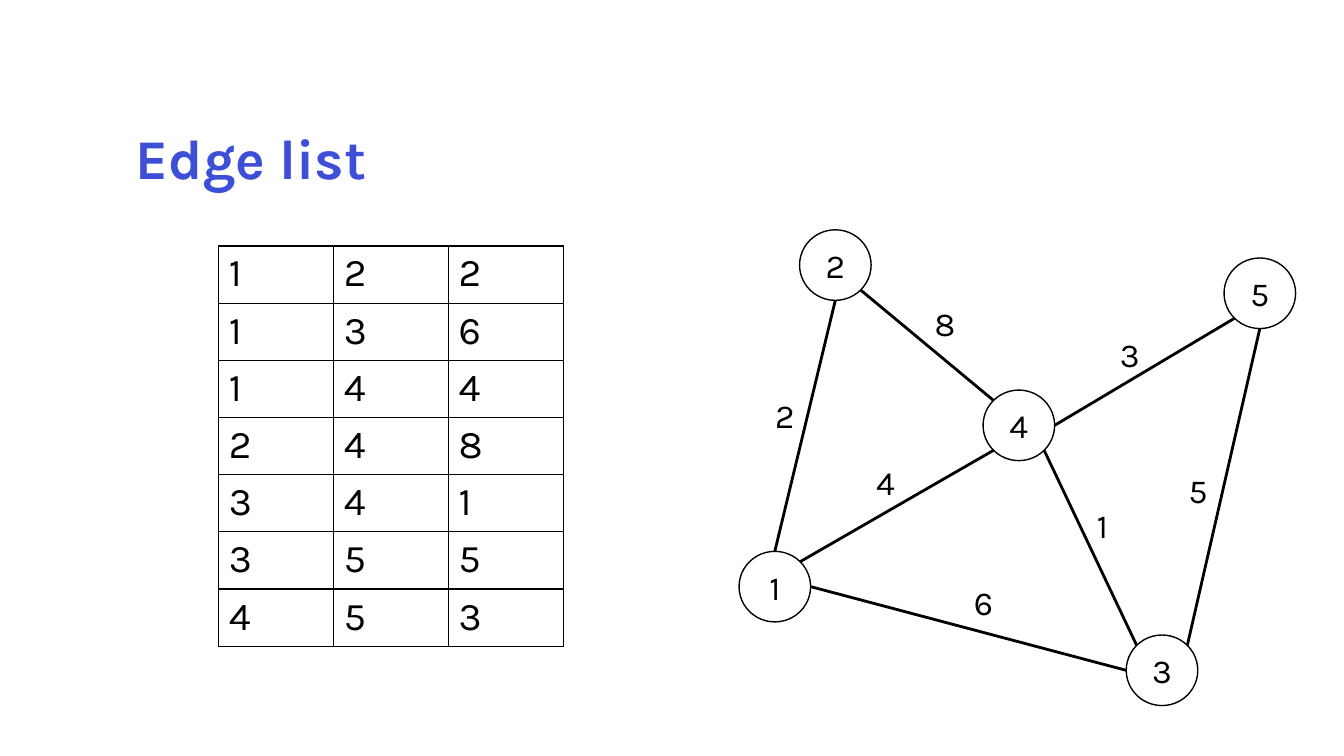
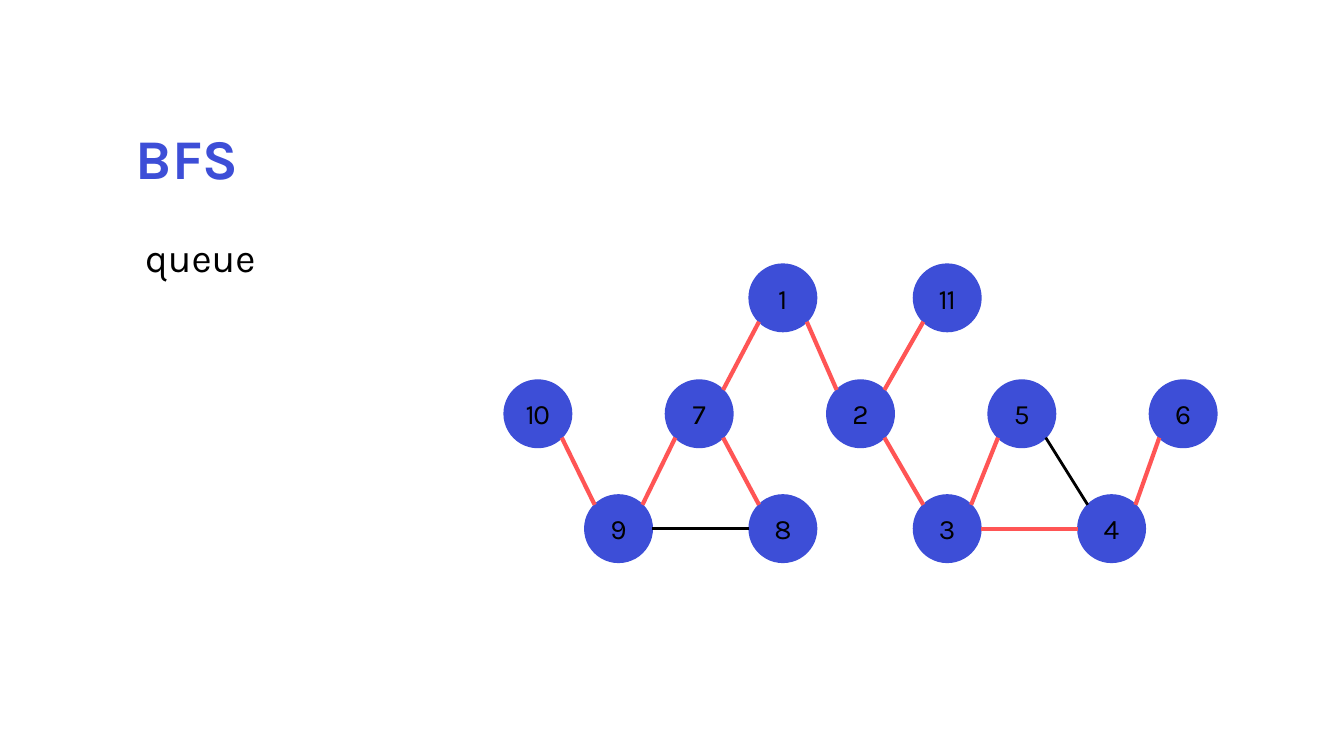
from math import sqrt

from lxml.etree import SubElement
from pptx import Presentation
from pptx.dml.color import RGBColor
from pptx.enum.shapes import MSO_CONNECTOR, MSO_SHAPE
from pptx.enum.text import MSO_ANCHOR, MSO_AUTO_SIZE, PP_ALIGN
from pptx.oxml import parse_xml
from pptx.oxml.ns import nsdecls, qn
from pptx.util import Inches, Pt

# Shared style
FONT = "Karla"
BLUE, RED, BLACK, WHITE = "3D4ED7", "FF5555", "000000", "FFFFFF"

# Weighted graph: node -> left, top
SPOTS = {2: (7.93, 2.28), 1: (7.33, 5.47), 4: (9.75, 3.87),
         5: (12.14, 2.56), 3: (11.17, 6.3)}
# Edge: from, to, weight, side of each node, left and top of the label
EDGES = [
    (1, 2, 2, "n", "s", 7.59, 3.87),
    (1, 3, 6, "e", "w", 9.56, 5.72),
    (1, 4, 4, "ne", "sw", 8.59, 4.53),
    (2, 4, 8, "se", "nw", 9.17, 2.96),
    (3, 4, 1, "nw", "se", 10.78, 4.96),
    (3, 5, 5, "ne", "s", 11.69, 4.61),
    (4, 5, 3, "e", "sw", 11.01, 3.26),
]

# Search tree levels: top, first left, step, nodes (None leaves a gap)
LEVELS = [
    (2.62, 5.8, 1.63, [None, 1, 11]),
    (3.77, 5, 1.6, [10, 7, 2, 5, 6]),
    (4.91, 5.8, 1.63, [9, 8, 3, 4]),
]
TREE = [
    (1, 2, "se", "nw"), (11, 2, "sw", "ne"), (8, 7, "nw", "se"),
    (2, 3, "se", "nw"), (3, 4, "e", "w"), (3, 5, "ne", "sw"),
    (1, 7, "sw", "ne"), (4, 6, "ne", "sw"), (7, 9, "sw", "ne"),
    (10, 9, "se", "nw"),
]
REST = [(4, 5, "nw", "se"), (8, 9, "w", "e")]


def tint(code):
    return RGBColor.from_string(code)


def write(frame, text, size=24, color=BLACK, bold=False, align=None,
          lead=None, track=None):
    para = frame.paragraphs[0]
    if align is not None:
        para.alignment = align
    if lead:
        para.line_spacing = lead
    run = para.add_run()
    run.text = str(text)
    font = run.font
    font.name, font.size, font.bold = FONT, Pt(size), bold
    font.color.rgb = tint(color)
    if track:
        run._r.get_or_add_rPr().set("spc", str(track * 100))


def label(slide, text, x, y, w, h, wrap=True, grow=True, **form):
    frame = slide.shapes.add_textbox(*map(Inches, (x, y, w, h))).text_frame
    frame.word_wrap = wrap
    if grow:
        frame.auto_size = MSO_AUTO_SIZE.SHAPE_TO_FIT_TEXT
    write(frame, text, **form)


def start(deck, title):
    slide = deck.slides.add_slide(deck.slide_layouts[6])
    label(slide, title, 1.25, 1.25, 10.85, 0.8, grow=False,
          size=40, color=BLUE, bold=True, lead=0.9)
    return slide


def node(slide, text, x, y, w, h, fill, line, **form):
    dot = slide.shapes.add_shape(MSO_SHAPE.OVAL, *map(Inches, (x, y, w, h)))
    dot.shadow.inherit = False
    dot.fill.solid()
    dot.fill.fore_color.rgb = tint(fill)
    dot.line.color.rgb = tint(line)
    dot.line.width = Pt(1)
    frame = dot.text_frame
    frame.margin_left = frame.margin_right = 0
    frame.word_wrap = False
    frame.vertical_anchor = MSO_ANCHOR.MIDDLE
    write(frame, text, align=PP_ALIGN.CENTER, **form)
    return dot


def port(dot, side):
    """Point on the rim of a node in a compass direction."""
    dx = ("e" in side) - ("w" in side)
    dy = ("s" in side) - ("n" in side)
    reach = 2 * sqrt(dx * dx + dy * dy)
    return (int(dot.left + dot.width * (0.5 + dx / reach)),
            int(dot.top + dot.height * (0.5 + dy / reach)))


def link(slide, head, tail, color=BLACK, width=2):
    line = slide.shapes.add_connector(MSO_CONNECTOR.STRAIGHT, *head, *tail)
    line.line.color.rgb = tint(color)
    line.line.width = Pt(width)
    SubElement(line._element.spPr, qn("a:effectLst"))


def frame_cell(cell):
    cell.fill.background()
    props = cell._tc.get_or_add_tcPr()
    for spot, side in enumerate("LRTB"):
        props.insert(spot, parse_xml(
            f'<a:ln{side} {nsdecls("a")} w="12700"><a:solidFill>'
            f'<a:srgbClr val="{BLACK}"/></a:solidFill></a:ln{side}>'))


def edge_list(deck):
    slide = start(deck, "Edge list")
    dots = {key: node(slide, key, x, y, 0.71, 0.7, WHITE, BLACK)
            for key, (x, y) in SPOTS.items()}
    for a, b, cost, out, into, x, y in EDGES:
        link(slide, port(dots[a], out), port(dots[b], into))
        label(slide, cost, x, y, 0.38, 0.5, wrap=False)

    # Table of the same edges
    size = map(Inches, (2.17, 2.44, 3.42, 3.97))
    grid = slide.shapes.add_table(len(EDGES), 3, *size).table
    grid.first_row = grid.horz_banding = False
    for r, edge in enumerate(EDGES):
        for c, value in enumerate(edge[:3]):
            cell = grid.cell(r, c)
            frame_cell(cell)
            write(cell.text_frame, value, size=28)


def search(deck):
    slide = start(deck, "BFS")
    dots = {}
    for top, left, step, keys in LEVELS:
        for i, key in enumerate(keys):
            if key:
                dots[key] = node(slide, key, left + i * step, top, 0.67, 0.67,
                                 BLUE, BLUE, size=20, track=-1)
    for edges, color, width in ((TREE, RED, 3), (REST, BLACK, 2)):
        for a, b, out, into in edges:
            link(slide, port(dots[a], out), port(dots[b], into), color, width)
    label(slide, "queue", 1.34, 2.27, 2.49, 0.57, size=28)


def main():
    deck = Presentation()
    deck.slide_width, deck.slide_height = Inches(13.33), Inches(7.5)
    edge_list(deck)
    search(deck)
    deck.save("out.pptx")


if __name__ == "__main__":
    main()
